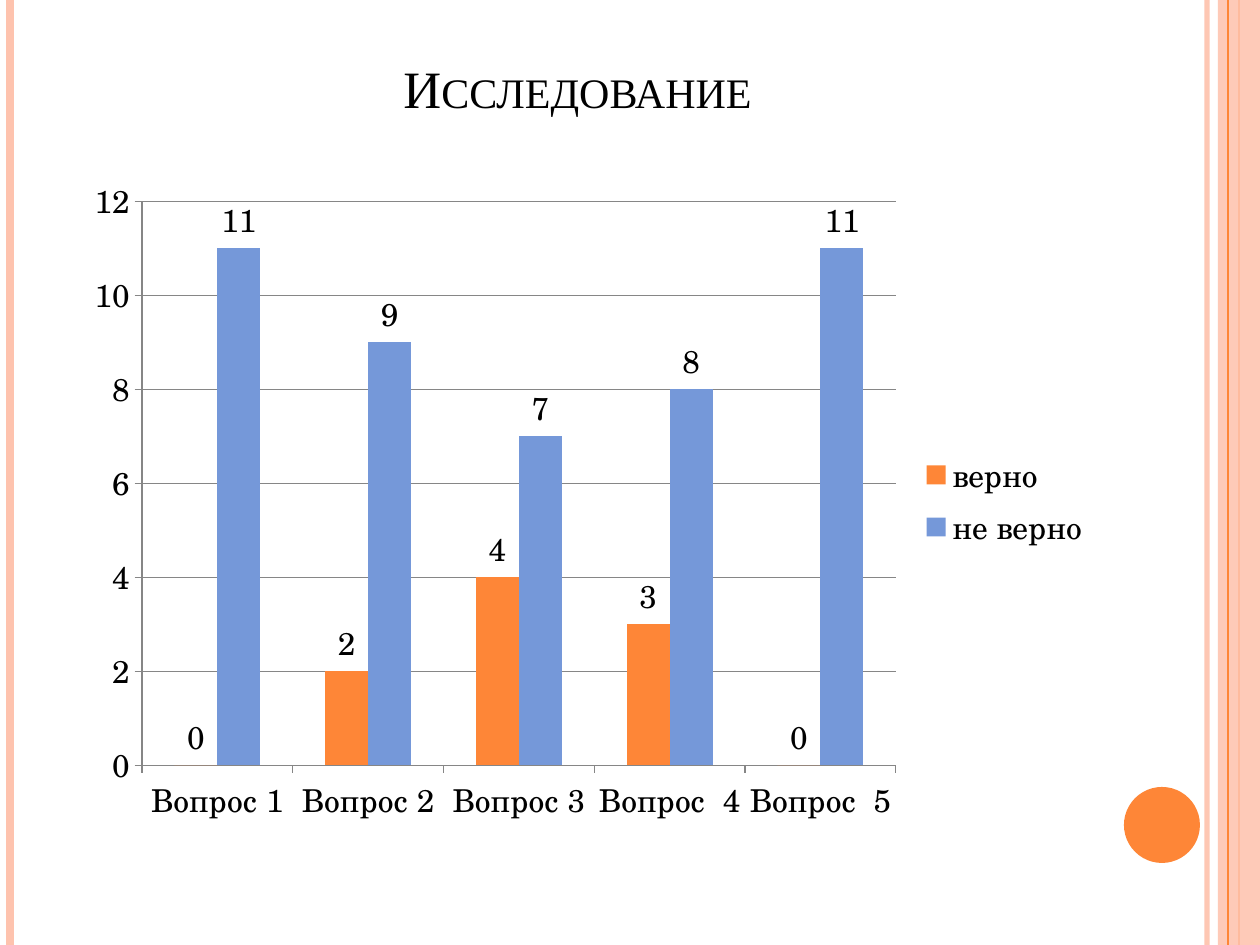
from dataclasses import dataclass

from lxml.etree import SubElement
from pptx import Presentation
from pptx.chart.data import CategoryChartData
from pptx.dml.color import RGBColor
from pptx.enum.chart import (XL_CHART_TYPE, XL_LABEL_POSITION,
                             XL_LEGEND_POSITION, XL_TICK_MARK)
from pptx.enum.shapes import MSO_CONNECTOR, MSO_SHAPE
from pptx.enum.text import MSO_ANCHOR, PP_ALIGN
from pptx.oxml.ns import qn
from pptx.util import Emu, Pt

SCALE = 914400 / 126


@dataclass(frozen=True)
class Theme:
    """Colours, fonts and type sizes of the slide."""
    ink: str = "000000"
    peach: str = "FEC3AE"
    orange: str = "FE8637"
    blue: str = "7598D9"
    grid: str = "868686"
    head: str = "Times New Roman"
    body: str = "TeX Gyre Schola"
    big: int = 30
    small: int = 18


def px(*nums):
    """Turn pixel lengths into EMU."""
    return [Emu(round(n * SCALE)) for n in nums]


def apply(obj, vals):
    """Set each named value on an object."""
    for name, val in vals.items():
        setattr(obj, name, val)


class Page:
    """Holds the theme and the current slide."""

    def __init__(self, deck, theme):
        """Add a blank slide to the deck."""
        self.theme = theme
        self.slide = deck.slides.add_slide(deck.slide_layouts[6])
        self.shapes = self.slide.shapes

    def paint(self, fill, color, alpha=100):
        """Give a fill one colour and its opacity."""
        fill.solid()
        fill.fore_color.rgb = RGBColor.from_string(color)
        if alpha < 100:
            node = fill._xPr.find(qn("a:solidFill"))[0]
            SubElement(node, qn("a:alpha"), val=str(alpha * 1000))

    def font(self, font, face, size):
        """Set the face, size and ink of a font."""
        apply(font, {"name": face, "size": Pt(size)})
        font.color.rgb = RGBColor.from_string(self.theme.ink)

    def stripe(self, x, color, width, alpha=100):
        """Draw a line down the whole slide."""
        line = self.shapes.add_connector(
            MSO_CONNECTOR.STRAIGHT, *px(x, 0, x, 945))
        line.line.width = Pt(width)
        self.paint(line.line.fill, color, alpha)
        SubElement(line._element.spPr, qn("a:effectLst"))

    def shape(self, kind, box, color, alpha=100):
        """Draw a filled shape with no outline."""
        shape = self.shapes.add_shape(kind, *px(*box))
        shape.shadow.inherit = False
        shape.line.fill.background()
        self.paint(shape.fill, color, alpha)

    def title(self, text, box):
        """Write the heading in small capitals."""
        frame = self.shapes.add_textbox(*px(*box)).text_frame
        apply(frame, {"word_wrap": True,
                      "vertical_anchor": MSO_ANCHOR.BOTTOM})
        para = frame.paragraphs[0]
        para.alignment = PP_ALIGN.CENTER
        run = para.add_run()
        run.text = text
        self.font(run.font, self.theme.head, self.theme.big)
        run._r.get_or_add_rPr().set("cap", "small")

    def chart(self, box, cats, rows):
        """Draw a clustered column chart with value labels."""
        data = CategoryChartData(number_format="General")
        data.categories = cats
        for name, vals, _ in rows:
            data.add_series(name, vals)
        chart = self.shapes.add_chart(
            XL_CHART_TYPE.COLUMN_CLUSTERED, *px(*box), data).chart
        self.font(chart.font, self.theme.body, self.theme.small)
        apply(chart, {"has_title": False, "has_legend": True})
        apply(chart.legend, {"position": XL_LEGEND_POSITION.RIGHT,
                             "include_in_layout": False})
        plot = chart.plots[0]
        apply(plot, {"gap_width": 150, "overlap": 0,
                     "vary_by_categories": False, "has_data_labels": True})
        apply(plot.data_labels, {"show_value": True,
                                 "position": XL_LABEL_POSITION.OUTSIDE_END})
        for row, (_, _, color) in zip(plot.series, rows):
            self.paint(row.format.fill, color)
        apply(chart.value_axis, {"minimum_scale": 0, "maximum_scale": 12,
                                 "major_unit": 2,
                                 "has_major_gridlines": True})
        for axis in (chart.category_axis, chart.value_axis):
            apply(axis, {"major_tick_mark": XL_TICK_MARK.OUTSIDE,
                         "minor_tick_mark": XL_TICK_MARK.NONE})
            self.paint(axis.format.line.fill, self.theme.grid)
        self.paint(chart.value_axis.major_gridlines.format.line.fill,
                   self.theme.grid)


def main():
    """Build and save the slide."""
    theme = Theme()
    deck = Presentation()
    wide, high = px(1260, 945)
    apply(deck, {"slide_width": wide, "slide_height": high})
    page = Page(deck, theme)
    page.stripe(1207, theme.peach, 3, 93)
    page.stripe(10, theme.peach, 4.5)
    page.stripe(1239, theme.orange, 1.5)
    page.shape(MSO_SHAPE.RECTANGLE, (1218, 0, 42, 945), theme.peach, 87)
    page.stripe(1228, theme.orange, 0.75)
    page.shape(MSO_SHAPE.OVAL, (1124, 787, 76, 76), theme.orange)
    page.title("Исследование", (63, 38, 1029, 87))
    page.chart(
        (74, 165, 1029, 672),
        ["Вопрос 1", "Вопрос 2", "Вопрос 3", "Вопрос  4", "Вопрос  5"],
        [("верно", (0, 2, 4, 3, 0), theme.orange),
         ("не верно", (11, 9, 7, 8, 11), theme.blue)])
    deck.save("out.pptx")


if __name__ == "__main__":
    main()
